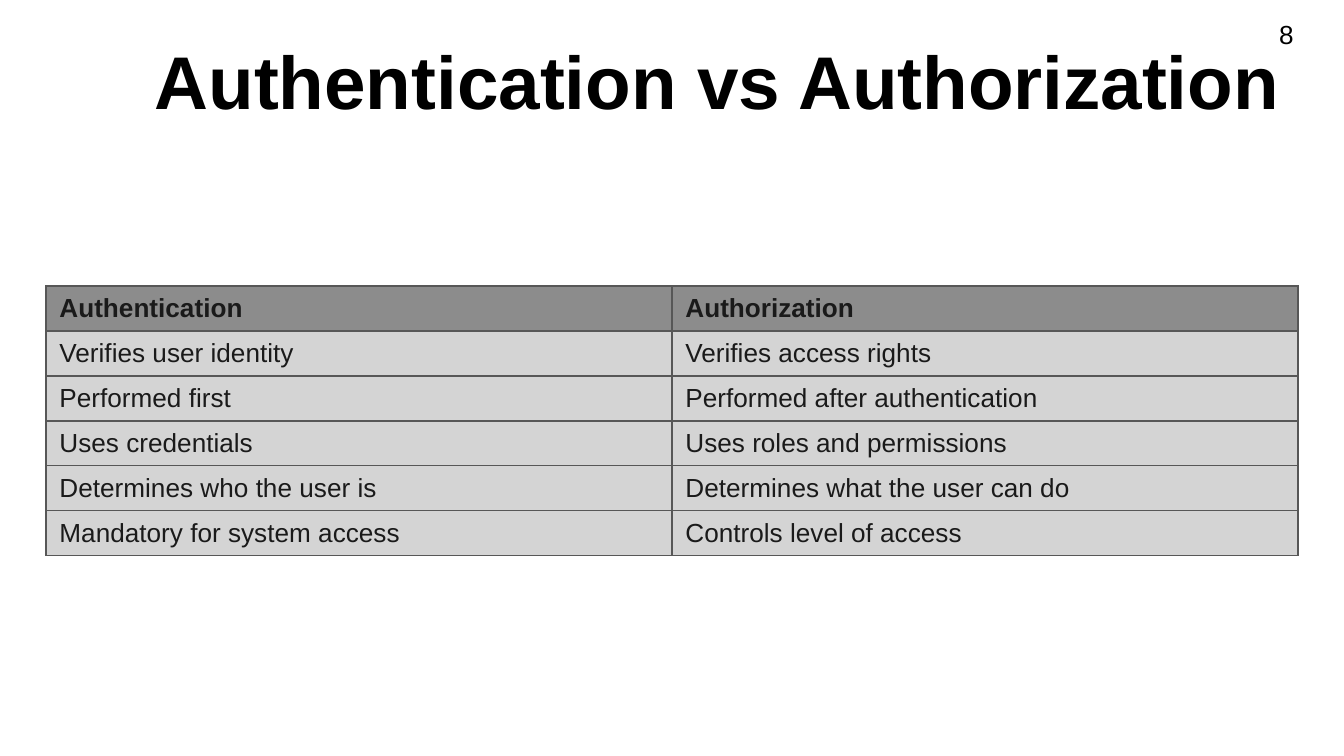
from dataclasses import dataclass

from lxml.etree import SubElement
from pptx import Presentation
from pptx.dml.color import RGBColor as RGB
from pptx.enum.text import MSO_ANCHOR as ANCHOR, MSO_AUTO_SIZE as FIT, PP_ALIGN as ALIGN
from pptx.oxml.ns import qn
from pptx.util import Emu, Pt

PX = 914400 / 134.4

ROWS = [
    ("Authentication", "Authorization"),
    ("Verifies user identity", "Verifies access rights"),
    ("Performed first", "Performed after authentication"),
    ("Uses credentials", "Uses roles and permissions"),
    ("Determines who the user is", "Determines what the user can do"),
    ("Mandatory for system access", "Controls level of access"),
]


@dataclass(frozen=True)
class Theme:
    """Colours and type sizes of the slide."""
    font: str = "Arial"
    ink: str = "000000"
    cell_ink: str = "1A1A1A"
    head_fill: str = "8C8C8C"
    body_fill: str = "D4D4D4"
    border: str = "575757"
    border_width: float = 0.75
    title_size: int = 40
    text_size: int = 14


THEME = Theme()


def px(n):
    """Turn whole pixels into EMU."""
    return Emu(round(n * PX))


def assign(obj, values):
    """Set attributes from a dict of format values."""
    for name, value in values.items():
        setattr(obj, name, value)


def place(sp, left, top, width, height):
    """Move and size a shape in pixels."""
    assign(sp, {"left": px(left), "top": px(top),
                "width": px(width), "height": px(height)})


def write(tf, text, size, color, bold=False, align=ALIGN.LEFT):
    """Write one formatted paragraph into a text frame."""
    p = tf.paragraphs[0]
    p.alignment = align
    r = p.add_run()
    r.text = text
    assign(r.font, {"name": THEME.font, "size": Pt(size), "bold": bold})
    r.font.color.rgb = RGB.from_string(color)
    return p


def add_title(s, text, box):
    """Fill the title placeholder with a bold centred heading."""
    sp = s.shapes.title
    place(sp, *box)
    tf = sp.text_frame
    assign(tf, {"word_wrap": True, "auto_size": FIT.NONE,
                "vertical_anchor": ANCHOR.MIDDLE})
    sides = ("left", "top", "right", "bottom")
    assign(tf, {f"margin_{side}": px(11) for side in sides})
    p = write(tf, text, THEME.title_size, THEME.ink, True, ALIGN.CENTER)
    p.line_spacing = 0.9


def add_page_number(s, text, box):
    """Add the page number in an unwrapped text box."""
    tf = s.shapes.add_textbox(*map(px, box)).text_frame
    assign(tf, {"word_wrap": False, "auto_size": FIT.SHAPE_TO_FIT_TEXT})
    write(tf, text, THEME.text_size, THEME.ink)


def add_borders(cell):
    """Draw a thin line on all four sides of a cell."""
    tc_pr = cell._tc.get_or_add_tcPr()
    for side in ("lnL", "lnR", "lnT", "lnB"):
        ln = SubElement(tc_pr, qn(f"a:{side}"), w=str(Pt(THEME.border_width)))
        fill = SubElement(ln, qn("a:solidFill"))
        SubElement(fill, qn("a:srgbClr"), val=THEME.border)


def add_comparison(s, rows, left, top, width, row_height):
    """Add a table of equal columns with a bold heading row."""
    n_cols = len(rows[0])
    box = (left, top, width, row_height * len(rows))
    table = s.shapes.add_table(len(rows), n_cols, *map(px, box)).table
    for i, row in enumerate(rows):
        table.rows[i].height = px(row_height)
        head = i == 0
        for j, text in enumerate(row):
            cell = table.cell(i, j)
            cell.vertical_anchor = ANCHOR.MIDDLE
            add_borders(cell)
            cell.fill.solid()
            cell.fill.fore_color.rgb = RGB.from_string(
                THEME.head_fill if head else THEME.body_fill)
            write(cell.text_frame, text, THEME.text_size, THEME.cell_ink, head)


def main():
    """Build and save the slide."""
    prs = Presentation()
    assign(prs, {"slide_width": px(1344), "slide_height": px(756)})
    s = prs.slides.add_slide(prs.slide_layouts[5])
    add_title(s, "Authentication vs Authorization", (116, 56, 1202, 59))
    add_page_number(s, "8", (1266, 12, 42, 46))
    add_comparison(s, ROWS, 46, 286, 1252, 45)
    prs.save("out.pptx")


if __name__ == "__main__":
    main()
